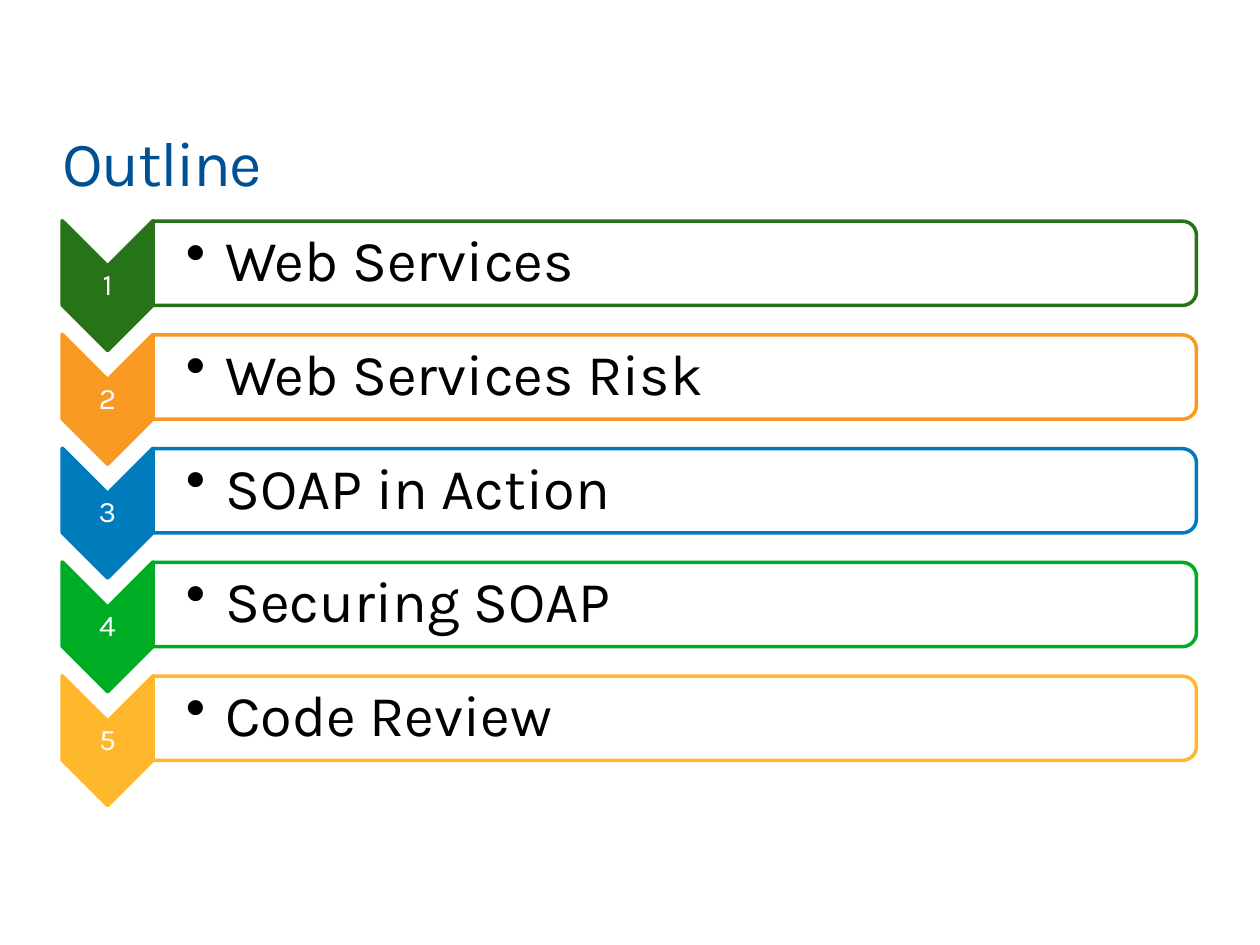
from lxml import etree
from pptx import Presentation
from pptx.dml.color import RGBColor
from pptx.enum import shapes as sh, text as tx
from pptx.oxml.ns import qn
from pptx.util import Pt


def paint(fmt, hue):
    """Give a fill a solid colour."""
    fmt.solid()
    fmt.fore_color.rgb = RGBColor.from_string(hue)


def write(box, words, size, hue, pads=(0, 0, 0, 0)):
    """Add one Karla run to a text box; pads are left, top, right, bottom."""
    frame = box.text_frame
    frame.word_wrap = True
    frame.margin_left, frame.margin_top, frame.margin_right, frame.margin_bottom = map(Pt, pads)
    par = frame.paragraphs[0]
    run = par.add_run()
    run.text = words
    run.font.name = "Karla"
    run.font.size = Pt(size)
    paint(run.font.fill, hue)
    return frame, par, run


deck = Presentation()
deck.slide_width, deck.slide_height = Pt(720), Pt(540)
slide = deck.slides.add_slide(deck.slide_layouts[6])
parts = slide.shapes

title = parts.add_textbox(Pt(36), Pt(70.5), Pt(648), Pt(44))
run = write(title, "Outline", 36, "005194")[2]
run.font._element.set("spc", "-100")

rows = [
    ("Web Services", "277318"),
    ("Web Services Risk", "F89A21"),
    ("SOAP in Action", "007CBD"),
    ("Securing SOAP", "00AC24"),
    ("Code Review", "FFB82E"),
]
step = 65

for i, (topic, hue) in enumerate(rows):
    drop = i * step

    # Both outlines are turned a quarter, so sizes are given before the turn
    arrow = parts.add_shape(sh.MSO_SHAPE.CHEVRON, Pt(24.4), Pt(137.3 + drop), Pt(74.2), Pt(51.9))
    paint(arrow.fill, hue)

    num = parts.add_textbox(Pt(35.5), Pt(152.2 + drop), Pt(51.9), Pt(22.3))
    frame, par, run = write(num, str(i + 1), 17, "FFFFFF", (0.8,) * 4)
    frame.vertical_anchor = tx.MSO_ANCHOR.MIDDLE
    par.alignment = tx.PP_ALIGN.CENTER
    par.line_spacing = 0.9

    bar = parts.add_shape(sh.MSO_SHAPE.ROUND_2_SAME_RECTANGLE,
                          Pt(361.5), Pt(-147.6 + drop), Pt(48.2), Pt(596.2))
    paint(bar.fill, "FFFFFF")
    tint = bar.fill._xPr.find(qn("a:solidFill"))[0]
    etree.SubElement(tint, qn("a:alpha")).set("val", "90000")

    for part in (arrow, bar):
        part.rotation = 90
        part.shadow.inherit = False
        paint(part.line.fill, hue)
        part.line.width = Pt(2)

    label = parts.add_textbox(Pt(87.6), Pt(128.5 + drop), Pt(593.5), Pt(43.6))
    frame, par, run = write(label, topic, 33, "000000", (18.6, 1.6, 1.6, 1.6))
    frame.vertical_anchor = tx.MSO_ANCHOR.MIDDLE
    par.line_spacing = 0.9
    props = par._p.get_or_add_pPr()
    props.set("marL", str(Pt(22.5)))
    props.set("indent", str(-Pt(22.5)))
    etree.SubElement(props, qn("a:buChar")).set("char", "•")

deck.save("out.pptx")
